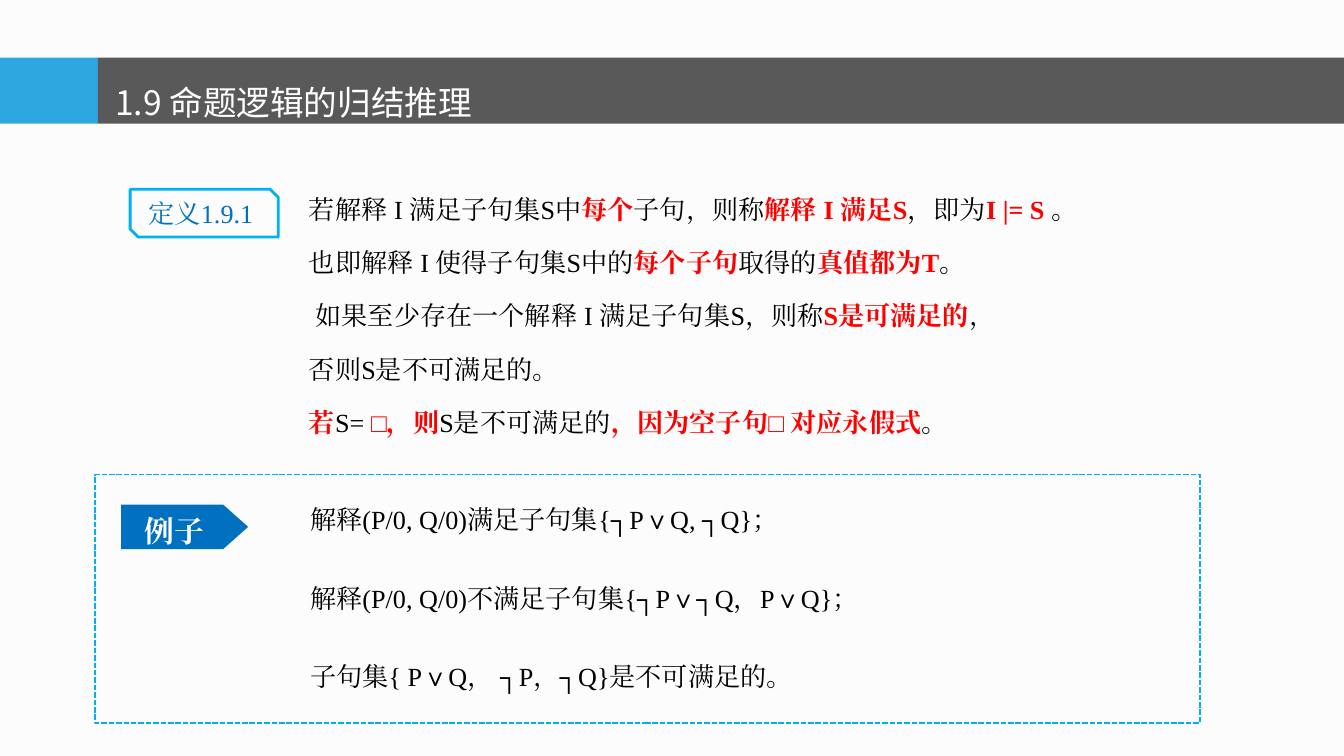
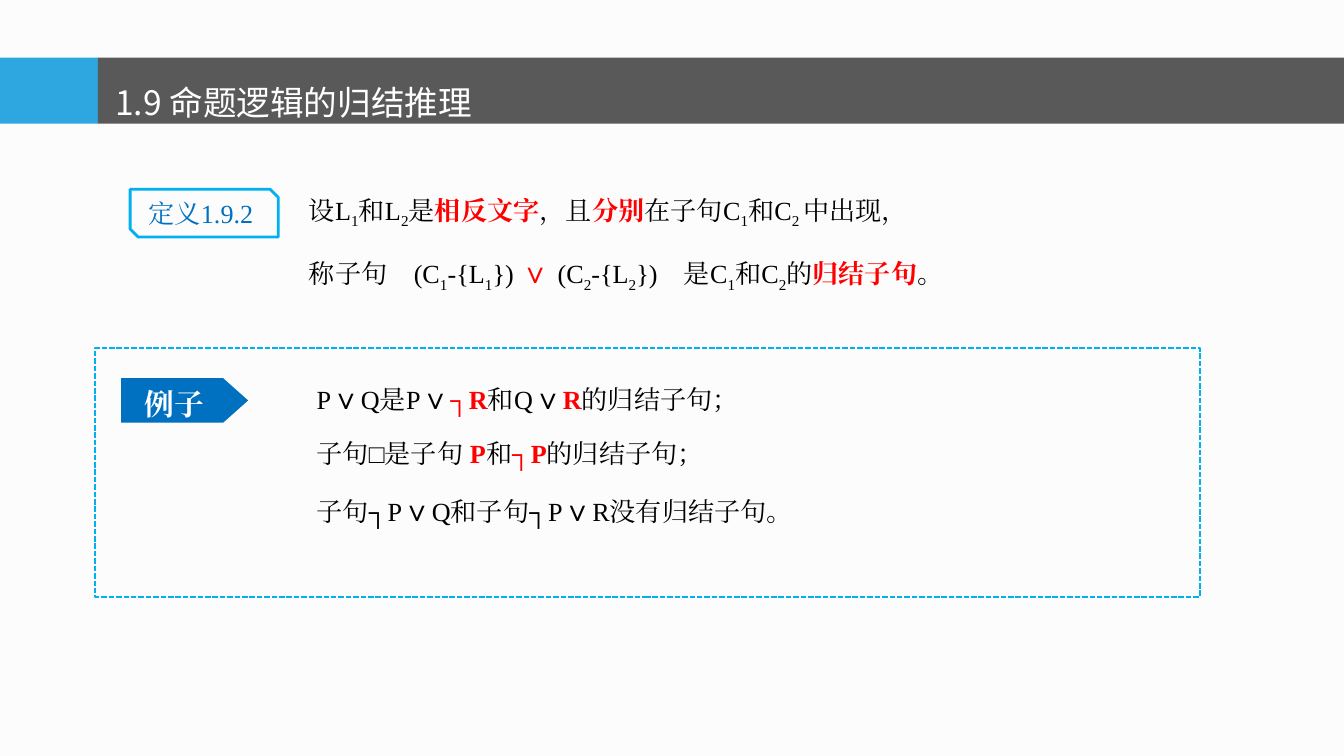
import pptx
import pptx.util
from pptx.dml.color import RGBColor
from pptx.enum.dml import MSO_LINE
from pptx.enum.shapes import MSO_SHAPE
from pptx.enum.text import MSO_ANCHOR, MSO_AUTO_SIZE, PP_ALIGN
from pptx.oxml.ns import qn
from lxml import etree

Cm = pptx.util.Cm
Pt = pptx.util.Pt

PAPER = RGBColor(0xFC, 0xFC, 0xFC)
SKY = RGBColor(0x2E, 0xA7, 0xE0)
GREY = RGBColor(0x59, 0x59, 0x59)
CYAN = RGBColor(0x00, 0xB0, 0xF0)
BLUE = RGBColor(0x00, 0x70, 0xC0)
RED = RGBColor(0xFF, 0x00, 0x00)
BLACK = RGBColor(0x00, 0x00, 0x00)
WHITE = RGBColor(0xFF, 0xFF, 0xFF)
SERIF = "Times New Roman"
SANS = "Noto Sans CJK SC"
WIDE, HIGH = 25.4, 14.29
TITLE = "1.9 命题逻辑的归结推理"


def red(text):
    return text, {"color": RED, "bold": True}


def sub(text):
    return text, {"base": -25}


OR = ("∨", {"size": 16})


def add_run(para, text, size=14, font=SERIF, color=BLACK, bold=False, base=0):
    run = para.add_run()
    run.text = text
    run.font.size = Pt(size)
    run.font.name = font
    run.font.bold = bold
    run.font.color.rgb = color
    props = run.font._element
    etree.SubElement(props, qn("a:ea")).set("typeface", font)
    if base:
        props.set("baseline", str(base * 1000))


def fill_text(frame, lines, space=1.0, before=0, first=None, hang=0, align=None):
    frame.word_wrap = True
    for i, line in enumerate(lines):
        para = frame.paragraphs[0] if i == 0 else frame.add_paragraph()
        para.line_spacing = space
        para.space_before = Pt(before if i or first is None else first)
        para.alignment = align
        if hang:
            props = para._p.get_or_add_pPr()
            props.set("marL", str(Cm(hang)))
            props.set("indent", str(-Cm(hang)))
        for part in line:
            text, look = (part, {}) if isinstance(part, str) else part
            add_run(para, text, **look)


def add_text(slide, box, lines, grow=True, **form):
    frame = slide.shapes.add_textbox(*map(Cm, box)).text_frame
    fill_text(frame, lines, **form)
    frame.auto_size = MSO_AUTO_SIZE.SHAPE_TO_FIT_TEXT if grow else MSO_AUTO_SIZE.NONE


def add_form(slide, kind, box, fill=None, line=None, width=1):
    form = slide.shapes.add_shape(kind, *map(Cm, box))
    form.shadow.inherit = False
    if fill is None:
        form.fill.background()
    else:
        form.fill.solid()
        form.fill.fore_color.rgb = fill
    if line is None:
        form.line.fill.background()
    else:
        form.line.color.rgb = line
        form.line.width = Pt(width)
    form.text_frame.vertical_anchor = MSO_ANCHOR.MIDDLE
    return form


def draw_head(slide, box):
    x, y, w, h = box
    tab = 1.85
    add_form(slide, MSO_SHAPE.RECTANGLE, (x, y, tab, h), SKY)
    add_form(slide, MSO_SHAPE.RECTANGLE, (x + tab, y, w - tab, h), GREY)
    title = (TITLE, {"size": 18, "font": SANS, "color": WHITE})
    add_text(slide, (x + 1.93, y - 0.2, 10.44, 1.57), [[title]],
             space=1.7, before=4.2)


def draw_rule(slide, box, label, lines):
    x, y, w, h = box
    tag = add_form(slide, MSO_SHAPE.SNIP_2_DIAG_RECTANGLE,
                   (x, y + 0.2, 2.8, 0.9), line=CYAN, width=1.5)
    fill_text(tag.text_frame, [[(label, {"color": BLUE})]],
              before=3.2, align=PP_ALIGN.CENTER)
    add_text(slide, (x + 3.13, y, w - 3.13, h), lines, grow=False,
             space=1.25, before=7.5, hang=0.48)


def draw_case(slide, box, lines, drop, **form):
    x, y, w, h = box
    frame = add_form(slide, MSO_SHAPE.RECTANGLE, box, line=CYAN)
    frame.line.dash_style = MSO_LINE.SQUARE_DOT
    tag = add_form(slide, MSO_SHAPE.PENTAGON, (x + 0.49, y + 0.57, 2.4, 0.84), BLUE)
    tag.adjustments[0] = 0.56
    label = ("例子 ", {"size": 16, "color": WHITE, "bold": True})
    fill_text(tag.text_frame, [[label]], space=1.2, align=PP_ALIGN.CENTER)
    add_text(slide, (x + 3.81, y + drop, 12.7, h - 2 * drop), lines, **form)


def new_slide(deck):
    slide = deck.slides.add_slide(deck.slide_layouts[6])
    slide.background.fill.solid()
    slide.background.fill.fore_color.rgb = PAPER
    draw_head(slide, (0, 1.09, WIDE, 1.25))
    return slide


def draw_model(deck):
    slide = new_slide(deck)
    draw_rule(slide, (2.46, 3.38, 20.25, 5.05), "定义1.9.1 ", [
        ["若解释 I 满足子句集S中", red("每个"), "子句，则称",
         red("解释 I 满足S"), "，即为", red("I |= S "), "。"],
        ["也即解释 I 使得子句集S中的", red("每个子句"), "取得的",
         red("真值都为T"), "。"],
        [" 如果至少存在一个解释 I 满足子句集S，则称", red("S是可满足的"), "，"],
        ["否则S是不可满足的。"],
        [red("若"), "S= ", red("□，则"), "S是不可满足的",
         red("，因为空子句□ 对应永假式"), "。"],
    ])
    draw_case(slide, (1.8, 8.97, 20.88, 4.7), [
        ["解释(P/0, Q/0)满足子句集{┐P∨Q, ┐Q}；"],
        ["解释(P/0, Q/0)不满足子句集{┐P∨┐Q，P∨Q}；"],
        ["子句集{ P∨Q， ┐P，┐Q}是不可满足的。"],
    ], 0.28, space=1.25, before=21, first=0)


def draw_solve(deck):
    slide = new_slide(deck)
    draw_rule(slide, (2.46, 3.38, 20.25, 2.41), "定义1.9.2 ", [
        ["设L", sub("1"), "和L", sub("2"), "是", red("相反文字"), "，且",
         red("分别"), "在子句C", sub("1"), "和C", sub("2 "), "中出现，"],
        ["称子句　(C", sub("1"), "-{L", sub("1"), "}) ",
         ("∨ ", {"size": 16, "color": RED, "bold": True}),
         "(C", sub("2"), "-{L", sub("2"), "})　是C", sub("1"), "和C",
         sub("2"), "的", red("归结子句"), "。"],
    ])
    draw_case(slide, (1.8, 6.58, 20.88, 4.7), [
        [" P", OR, "Q是P", OR, red("┐R"), "和Q", OR, red("R"), "的归结子句；"],
        [" 子句□是子句 ", red("P"), "和", red("┐P"), "的归结子句；"],
        [" 子句┐P", OR, "Q和子句┐P", OR, "R没有归结子句。"],
    ], 0.13, space=1.5, before=3.2, hang=0.97)


def main():
    deck = pptx.Presentation()
    deck.slide_width = Cm(WIDE)
    deck.slide_height = Cm(HIGH)
    draw_model(deck)
    draw_solve(deck)
    deck.save("out.pptx")


if __name__ == "__main__":
    main()
